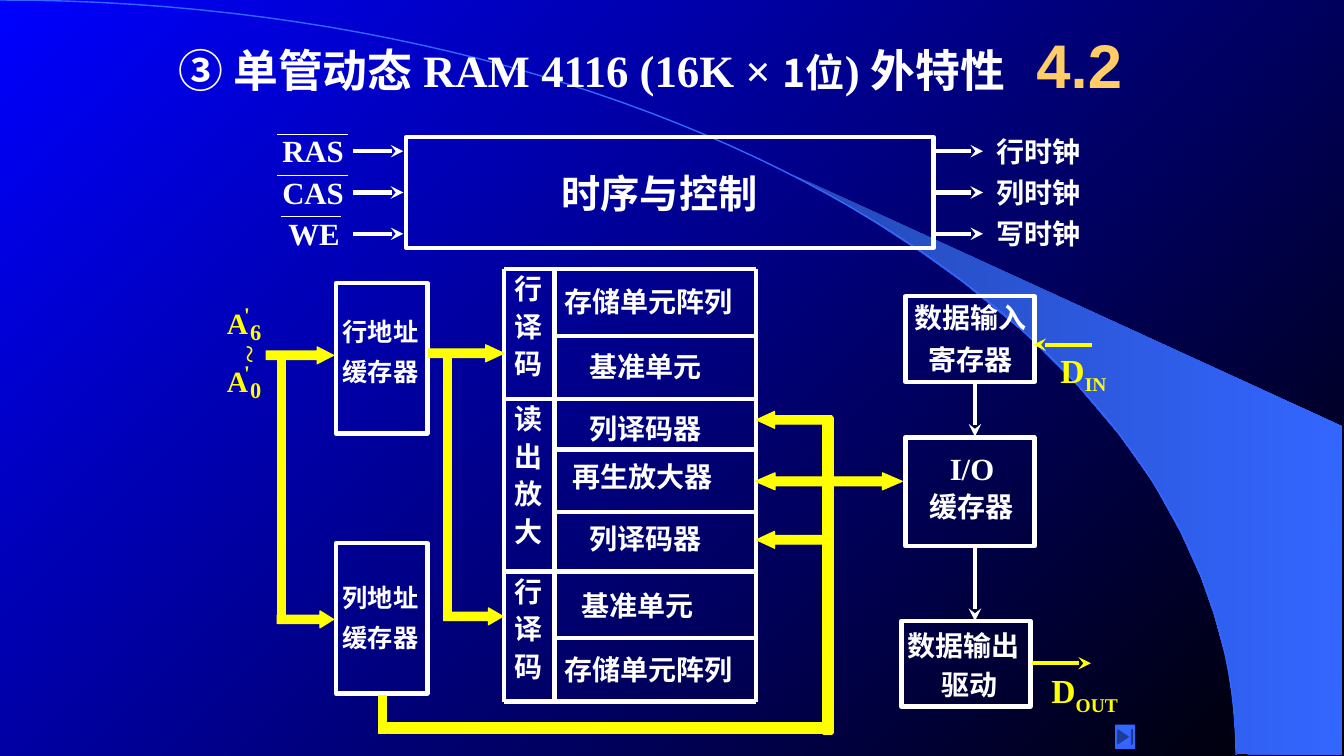
from dataclasses import dataclass
from lxml.etree import SubElement
from pptx import Presentation
from pptx.dml.color import RGBColor
from pptx.enum.shapes import MSO_CONNECTOR, MSO_SHAPE
from pptx.enum.text import MSO_ANCHOR, MSO_AUTO_SIZE, PP_ALIGN
from pptx.oxml.ns import qn
from pptx.util import Inches, Pt


@dataclass(frozen=True)
class Theme:
    white: str = "FFFFFF"
    yellow: str = "FFFF00"
    blue: str = "3366FF"
    deep_blue: str = "2449B6"
    gold: str = "FFCC66"
    bg_from: str = "0000FF"
    bg_to: str = "000000"
    cjk: str = "Noto Sans CJK SC"
    serif: str = "Times New Roman"
    sans: str = "Arial"
    section: int = 44
    title: int = 32
    heading: int = 28
    pin: int = 24
    signal: int = 22
    address: int = 21
    body: int = 20
    buffer: int = 18
    index: int = 16
    thick: float = 3
    thin: float = 0.75


T = Theme()


@dataclass(frozen=True)
class Span:
    text: str
    size: int
    font: str
    baseline: int = 0


@dataclass(frozen=True)
class Label:
    text: str
    at: tuple[float, float, float, float]
    size: int = T.body
    font: str = T.cjk
    color: str = T.white
    bold: bool = True
    inset: bool = True  # inset labels wrap, the others hug their text
    grow: bool = True
    before: float = 0
    spacing: float = 0
    vertical: bool = False
    centered: bool = False
    tail: tuple[Span, ...] = ()


@dataclass(frozen=True)
class Bar:
    at: tuple[float, float, float, float]
    kind: MSO_SHAPE = MSO_SHAPE.RECTANGLE
    fill: str | None = T.yellow
    line: str | None = T.yellow
    width: float = T.thin
    adj: tuple[float, ...] = ()
    rotation: int = 0


def rgb(value: str) -> RGBColor:
    return RGBColor.from_string(value)


def set_gradient(fill, start: str, end: str, angle: float) -> None:
    fill.gradient()
    fill.gradient_angle = angle
    for stop, color, position in zip(fill.gradient_stops, (start, end), (0, 1)):
        stop.color.rgb = rgb(color)
        stop.position = position


def format_run(r, lb: Label, size: int, font: str, baseline: int = 0) -> None:
    r.font.size, r.font.name, r.font.bold = Pt(size), font, lb.bold
    r.font.color.rgb = rgb(lb.color)
    rPr = r.font._element
    SubElement(rPr, qn("a:ea")).set("typeface", T.cjk)
    if baseline:
        rPr.set("baseline", str(baseline * 1000))


def draw_label(s, lb: Label) -> None:
    tf = s.shapes.add_textbox(*map(Inches, lb.at)).text_frame
    tf.text = lb.text
    tf.word_wrap = lb.inset
    tf.auto_size = MSO_AUTO_SIZE.SHAPE_TO_FIT_TEXT if lb.grow else MSO_AUTO_SIZE.NONE
    if not lb.inset:
        tf.margin_left = tf.margin_top = tf.margin_right = tf.margin_bottom = 0
    if lb.vertical:
        tf._txBody.bodyPr.set("vert", "eaVert")
    if lb.centered:
        tf.vertical_anchor = MSO_ANCHOR.MIDDLE
    for p in tf.paragraphs:
        if lb.centered:
            p.alignment = PP_ALIGN.CENTER
        if lb.spacing:
            p.line_spacing = lb.spacing
        if lb.before:  # space before as a share of the line
            p.space_before = Pt(0)
            gap = p._p.pPr.find(qn("a:spcBef"))
            gap.clear()
            SubElement(gap, qn("a:spcPct")).set("val", str(int(lb.before * 100000)))
        for r in p.runs:
            format_run(r, lb, lb.size, lb.font)
    for span in lb.tail:
        r = tf.paragraphs[-1].add_run()
        r.text = span.text
        format_run(r, lb, span.size, span.font, span.baseline)


def draw_bar(s, bar: Bar) -> None:
    sp = s.shapes.add_shape(bar.kind, *map(Inches, bar.at))
    sp.shadow.inherit = False
    sp.rotation = bar.rotation
    for i, value in enumerate(bar.adj):
        sp.adjustments[i] = value
    for part, color in ((sp.fill, bar.fill), (sp.line.fill, bar.line)):
        if color:
            part.solid()
            part.fore_color.rgb = rgb(color)
        else:
            part.background()
    if bar.line:
        sp.line.width = Pt(bar.width)


def draw_line(s, x1: float, y1: float, x2: float, y2: float, color: str = T.white,
              width: float = T.thick, arrow: bool = False) -> None:
    sp = s.shapes.add_connector(MSO_CONNECTOR.STRAIGHT, *map(Inches, (x1, y1, x2, y2)))
    sp.line.color.rgb = rgb(color)
    sp.line.width = Pt(width)
    if arrow:
        SubElement(sp.line._get_or_add_ln(), qn("a:tailEnd")).set("type", "stealth")
    SubElement(sp._element.spPr, qn("a:effectLst"))


def draw_outline(s, points: list[tuple[float, float]], close: bool):
    points = [(Inches(x), Inches(y)) for x, y in points]
    builder = s.shapes.build_freeform(*points[0])
    builder.add_line_segments(points[1:], close=close)
    sp = builder.convert_to_shape()
    sp.shadow.inherit = False
    return sp


def draw_backdrop(s) -> None:
    set_gradient(s.background.fill, T.bg_from, T.bg_to, 315)
    beam = draw_outline(s, [
        (12.27, 7.48), (13.31, 7.49), (13.31, 4.23), (7.86, 1.73), (8.32, 1.99),
        (8.7, 2.22), (9.13, 2.5), (9.55, 2.8), (10.16, 3.3), (10.7, 3.84), (11.1, 4.31),
        (11.44, 4.79), (11.71, 5.28), (11.91, 5.72), (12.04, 6.09), (12.17, 6.56),
        (12.23, 6.96)], True)
    set_gradient(beam.fill, T.deep_blue, T.blue, 0)
    beam.line.fill.background()
    # Quarter arc sampled from a cubic curve
    steps = [i / 60 for i in range(61)]
    arc = draw_outline(s, [(3 * 6.77 * t * (1 - t) ** 2 + 12.26 * t * t * (3 - 2 * t),
                            3 * 3.35 * t * t * (1 - t) + 7.49 * t ** 3) for t in steps], False)
    arc.fill.background()
    arc.line.color.rgb = rgb(T.blue)
    arc.line.width = Pt(1)


def draw_timing(s) -> None:
    draw_bar(s, Bar((4.03, 1.36, 5.23, 1.1), fill=None, line=T.white, width=T.thick))
    draw_label(s, Label("时序与控制", (5.57, 1.68, 2.15, 0.47), T.heading, inset=False))
    rows = (("RAS", 2.8, 2.75, 3.45, "行时钟"), ("CAS", 2.8, 2.75, 3.45, "列时钟"),
            ("WE", 2.86, 2.79, 3.38, "写时钟"))
    for i, (signal, x, over_from, over_to, clock) in enumerate(rows):
        y = 1.5 + 0.41 * i
        draw_label(s, Label(signal, (x, y - 0.19, 0.62, 0.37), T.signal, T.serif, inset=False))
        draw_line(s, over_from, y - 0.17, over_to, y - 0.17, width=T.thin)
        draw_label(s, Label(clock, (9.88, y - 0.17, 0.84, 0.33), inset=False))
        for start in (3.5, 9.25):
            draw_line(s, start, y, start + 0.5, y, arrow=True)


def draw_array(s) -> None:
    cells = (("存储单元阵列", 5.5, 2.77), ("基准单元", 5.75, 3.42), ("列译码器", 5.75, 4.03),
             ("再生放大器", 5.58, 4.51), ("列译码器", 5.75, 5.12), ("基准单元", 5.67, 5.79),
             ("存储单元阵列", 5.5, 6.42))
    for text, x, y in cells:
        draw_label(s, Label(text, (x, y, 2, 0.6), grow=False, before=0.2))
    for text, y, h in (("行译码", 2.67, 1.29), ("读出放大", 3.96, 1.71), ("行译码", 5.67, 1.29)):
        draw_label(s, Label("\n".join(text), (5, y, 0.5, h), grow=False, before=0.2, spacing=0.95))
    for left, ys in ((5, (2.67, 3.96, 5.67, 6.96)), (5.5, (3.33, 4.46, 5.08, 6.33))):
        for y in ys:
            draw_line(s, left, y, 7.5, y)
    for x in (5, 5.5, 7.5):
        draw_line(s, x, 2.67, x, 6.96)


def draw_data_path(s) -> None:
    for at in ((8.98, 2.94, 1.28, 0.85), (8.98, 4.34, 1.28, 1.08), (8.94, 6.16, 1.28, 0.85)):
        draw_bar(s, Bar(at, fill=None, line=T.white, width=T.thick))
    for text, x, y, w in (("数据输入", 9.07, 2.98, 1.12), ("寄存器", 9.21, 3.4, 0.84),
                          ("缓存器", 9.22, 4.86, 0.84), ("数据输出", 9, 6.24, 1.12),
                          ("驱动", 9.34, 6.62, 0.56)):
        draw_label(s, Label(text, (x, y, w, 0.33), inset=False))
    draw_label(s, Label("I/O", (9.42, 4.46, 0.45, 0.37), T.signal, T.serif, inset=False))
    for y1, y2 in ((3.79, 4.33), (5.41, 6.16)):
        draw_line(s, 9.67, y1, 9.67, y2, arrow=True)
    for name, at, x1, x2, y in (("IN", (10.42, 3.42, 0.83, 0.5), 10.83, 10.25, 3.42),
                                ("OUT", (10.33, 6.6, 1.25, 0.5), 10.24, 10.82, 6.58)):
        draw_label(s, Label("D", at, T.pin, T.serif, T.yellow, before=0.5,
                            tail=(Span(name, T.pin, T.serif, -25),)))
        draw_line(s, x1, y, x2, y, T.yellow, arrow=True)


def draw_address(s) -> None:
    for text, y, label_y in (("行地址", 2.81, 3.12), ("列地址", 5.39, 5.76)):
        draw_bar(s, Bar((3.33, y, 0.91, 1.49), fill=None, line=T.white, width=T.thick))
        draw_label(s, Label(text + "\n缓存器", (3.3, label_y, 1.26, 0.99), T.buffer,
                            before=0.5, spacing=0.9))
    for digit, y in (("6", 3.03), ("0", 3.6)):
        for text, x, dy, w, size in (("A", 2.25, 0, 0.21, T.address), ("'", 2.42, -0.04, 0.06, T.index),
                                     (digit, 2.48, 0.13, 0.11, T.index)):
            draw_label(s, Label(text, (x, y + dy, w, 0.3), size, T.serif, T.yellow, inset=False))
    draw_label(s, Label("~", (2.14, 3.33, 0.61, 0.42), T.pin, T.serif, T.yellow, bold=False,
                        before=0.5, vertical=True))


def draw_buses(s) -> None:
    right = MSO_SHAPE.RIGHT_ARROW
    for at in ((2.75, 3.5, 0.08, 2.67), (4.4, 3.48, 0.08, 2.67), (3.75, 6.9, 0.08, 0.38)):
        draw_bar(s, Bar(at))
    for at in ((8.17, 4.15, 0.08, 3.12), (3.85, 7.18, 4.32, 0.08)):
        draw_bar(s, Bar(at, width=T.thick))
    for x, y, w, head, turn in ((2.64, 3.44, 0.67, 0.97, 0), (2.75, 6.06, 0.56, 0.8, 0),
                                (4.25, 3.42, 0.75, 1.08, 0), (4.4, 6.03, 0.59, 0.86, 0),
                                (7.5, 4.08, 0.75, 1.08, 180), (7.5, 5.27, 0.75, 1.08, 180)):
        draw_bar(s, Bar((x, y, w, 0.17), right, adj=(0.5, head), rotation=turn))
    draw_bar(s, Bar((7.49, 4.69, 1.46, 0.17), MSO_SHAPE.LEFT_RIGHT_ARROW, adj=(0.52, 1.16)))


def draw_title(s) -> None:
    draw_label(s, Label("③ 单管动态 RAM 4116 (16K × ", (1.67, 0.37, 8.92, 0.63), T.title, T.serif,
                        before=0.5, tail=(Span("1位", T.heading, T.cjk),
                                          Span(") 外特性", T.title, T.serif))))
    draw_label(s, Label("4.2", (10.08, 0.17, 1.25, 0.92), T.section, T.sans, T.gold,
                        grow=False, centered=True))


def main() -> None:
    prs = Presentation()
    prs.slide_width, prs.slide_height = Inches(13.33), Inches(7.5)
    s = prs.slides.add_slide(prs.slide_layouts[6])
    for draw in (draw_backdrop, draw_timing, draw_array, draw_data_path, draw_address,
                 draw_buses, draw_title):
        draw(s)
    # Button at the lower right
    draw_bar(s, Bar((11.06, 7.19, 0.2, 0.24), MSO_SHAPE.ACTION_BUTTON_END, T.blue, None))
    prs.save("out.pptx")


if __name__ == "__main__":
    main()
